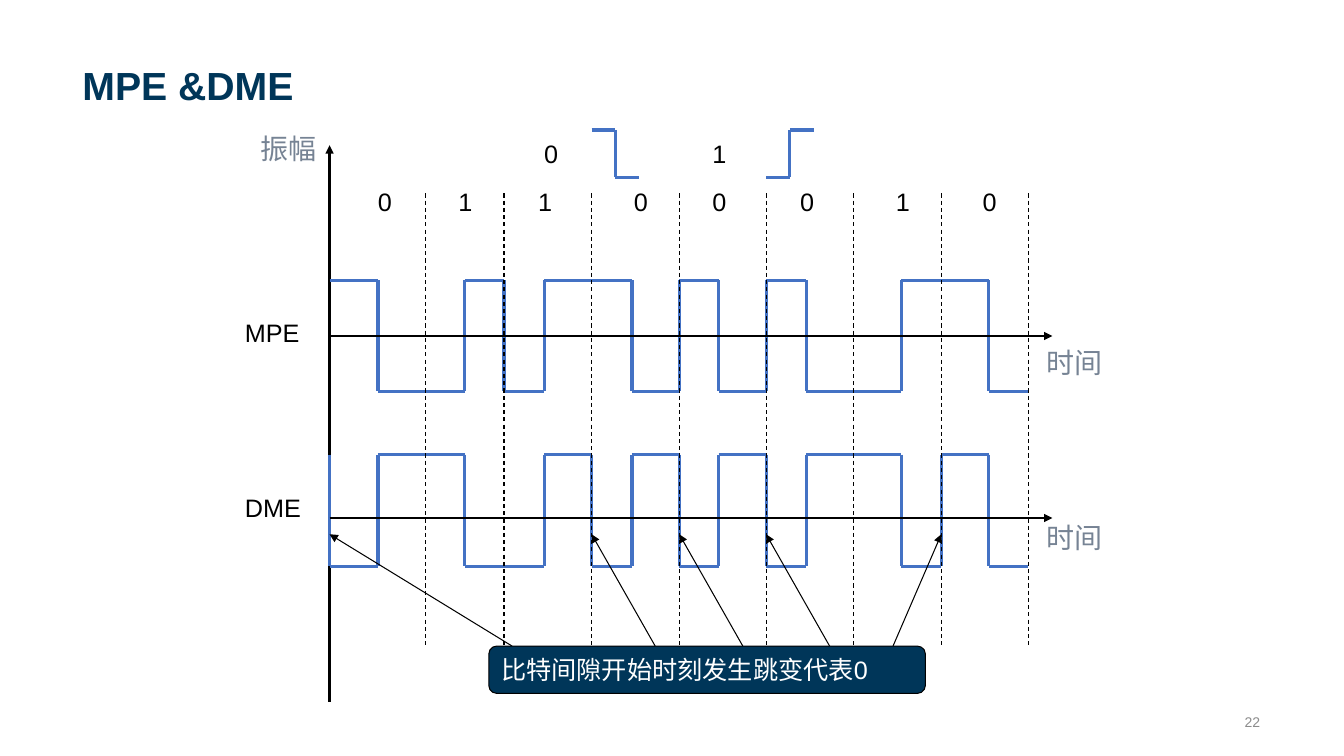
from lxml import etree
from pptx import Presentation
from pptx.dml.color import RGBColor
from pptx.enum.dml import MSO_LINE
from pptx.enum.shapes import MSO_CONNECTOR as Connector, MSO_SHAPE as Shape
from pptx.enum.text import MSO_ANCHOR as Anchor, PP_ALIGN as Align
from pptx.oxml.ns import qn
from pptx.util import Pt

# Content: bit value, start of the bit, its middle, left of its digit
BITS = [
    ("0", 235.4, 270, 262.8),
    ("1", 303.8, 332, 320.4),
    ("1", 360, 388.8, 377.3),
    ("0", 422.6, 451.4, 445.7),
    ("0", 485.2, 513.4, 501.8),
    ("0", 547.2, 576, 564.5),
    ("1", 609.8, 643.7, 632.9),
    ("0", 672.4, 706.3, 694.8),
]
BITS_END = 734.4
DIGIT_TOP = 129.6
DASH_TOP, DASH_BOTTOM = 138.2, 461.5

# Signal name, high level, low level, time axis, label top, axis caption top
SIGNALS = {
    "MPE": (200.2, 279.4, 240, 223.2, 243.4),
    "DME": (324.7, 404.6, 370, 347.8, 368.6),
}
TIME_END = 751.7
AMPLITUDE_TOP, AMPLITUDE_BOTTOM = 103.7, 501.1

# Key: digit, digit left, start of the step, whether it falls
KEY = [("0", 381.6, 422.6, True), ("1", 501.8, 547.2, False)]
KEY_TOP, KEY_BOTTOM, KEY_STEP = 92.9, 126.7, 17

# Where the arrow to each 0 bit leaves the callout
ARROW_STARTS = [365.8, 468, 530.6, 592.6, 637.9]
ARROW_TIP = 381.6

COLORS = {
    "navy": "003659",
    "signal": "4472C4",
    "ink": "000000",
    "caption": "768394",
    "number": "8C8C8C",
    "white": "FFFFFF",
}

deck = Presentation()
deck.slide_width, deck.slide_height = Pt(960), Pt(540)
page = deck.slides.add_slide(deck.slide_layouts[6])


def color(name):
    return RGBColor.from_string(COLORS[name])


def write(box, text, size, ink, bold=False, align=Align.LEFT, anchor=Anchor.TOP, wrap=True):
    frame = box.text_frame
    frame.word_wrap = wrap
    frame.vertical_anchor = anchor
    para = frame.paragraphs[0]
    para.alignment = align
    span = para.add_run()
    span.text = text
    span.font.name = "Arial"
    span.font.size = Pt(size)
    span.font.bold = bold
    span.font.color.rgb = color(ink)


def add_text(text, left, top, width, height, size, ink="ink", **style):
    box = page.shapes.add_textbox(Pt(left), Pt(top), Pt(width), Pt(height))
    write(box, text, size, ink, **style)


def add_digit(text, left, top):
    add_text(text, left, top, 24.5, 28.8, 18, wrap=False)


def add_caption(text, left, top):
    add_text(text, left, top, 54.7, 31, 20, "caption", wrap=False)


def add_line(start, end, width, ink="ink", dashed=False, arrow=False, shapes=page.shapes):
    line = shapes.add_connector(Connector.STRAIGHT, *map(Pt, start + end))
    line.line.color.rgb = color(ink)
    line.line.width = Pt(width)
    if dashed:
        line.line.dash_style = MSO_LINE.DASH
    properties = line._element.spPr
    if arrow:
        etree.SubElement(properties.find(qn("a:ln")), qn("a:tailEnd"), type="triangle")
    etree.SubElement(properties, qn("a:effectLst"))


def add_wave(points):
    wave = page.shapes.add_group_shape()
    for start, end in zip(points, points[1:]):
        add_line(start, end, 2.25, "signal", shapes=wave.shapes)


def square_wave(first_level, flips, end):
    """Corner points of a wave that switches level at each flip."""
    high, low = first_level
    points = []
    for x in flips:
        points += [(x, high), (x, low)]
        high, low = low, high
    return points + [(end, high)]


# Title and slide number
add_text("MPE &DME", 51.8, 10, 855.4, 70.6, 28, "navy", bold=True, anchor=Anchor.BOTTOM)
add_text("22", 612, 504.7, 295.2, 21.6, 10, "number", align=Align.RIGHT, anchor=Anchor.MIDDLE)

# Amplitude axis
axis_x = BITS[0][1]
add_line((axis_x, AMPLITUDE_BOTTOM), (axis_x, AMPLITUDE_TOP), 1.5, arrow=True)
add_caption("振幅", 179.3, 90.7)

# Flips: MPE also at the start of a repeated bit, DME at the start of each 0
mpe_flips, dme_flips = [], []
previous = None
for value, start, middle, _ in BITS:
    mpe_flips += [start, middle] if value == previous else [middle]
    dme_flips += [start, middle] if value == "0" else [middle]
    previous = value

# Both waves
mpe_high, mpe_low = SIGNALS["MPE"][:2]
add_wave([(axis_x, mpe_high)] + square_wave((mpe_high, mpe_low), mpe_flips, BITS_END))
add_wave(square_wave(SIGNALS["DME"][:2], dme_flips, BITS_END))

# Time axes with their labels
for name, (_, _, axis_y, label_top, caption_top) in SIGNALS.items():
    add_line((axis_x, axis_y), (TIME_END, axis_y), 1.5, arrow=True)
    add_text(name, 167.8, label_top, 61.2, 28.8, 18)
    add_caption("时间", 740.2, caption_top)

# Bit borders and digits
for x in [start for _, start, _, _ in BITS[1:]] + [BITS_END]:
    add_line((x, DASH_TOP), (x, DASH_BOTTOM), 0.75, dashed=True)
for value, _, _, left in BITS:
    add_digit(value, left, DIGIT_TOP)

# Key to the steps
for value, left, start, falls in KEY:
    levels = (KEY_TOP, KEY_BOTTOM) if falls else (KEY_BOTTOM, KEY_TOP)
    step = square_wave(levels, [start + KEY_STEP], start + 2 * KEY_STEP)
    add_wave([(start, levels[0])] + step)
    add_digit(value, left, 95)

# Arrows to the start of each 0
zero_starts = [start for value, start, _, _ in BITS if value == "0"]
for tail_x, tip_x in zip(ARROW_STARTS, zero_starts):
    add_line((tail_x, DASH_BOTTOM), (tip_x, ARROW_TIP), 0.75, arrow=True)

# Callout
callout = page.shapes.add_shape(
    Shape.ROUNDED_RECTANGLE, Pt(349.2), Pt(DASH_BOTTOM), Pt(311.8), Pt(33.8)
)
callout.shadow.inherit = False
callout.fill.solid()
callout.fill.fore_color.rgb = color("navy")
callout.line.color.rgb = color("ink")
callout.line.width = Pt(0.75)
write(callout, "比特间隙开始时刻发生跳变代表0", 18, "white", anchor=Anchor.MIDDLE)

deck.save("out.pptx")
